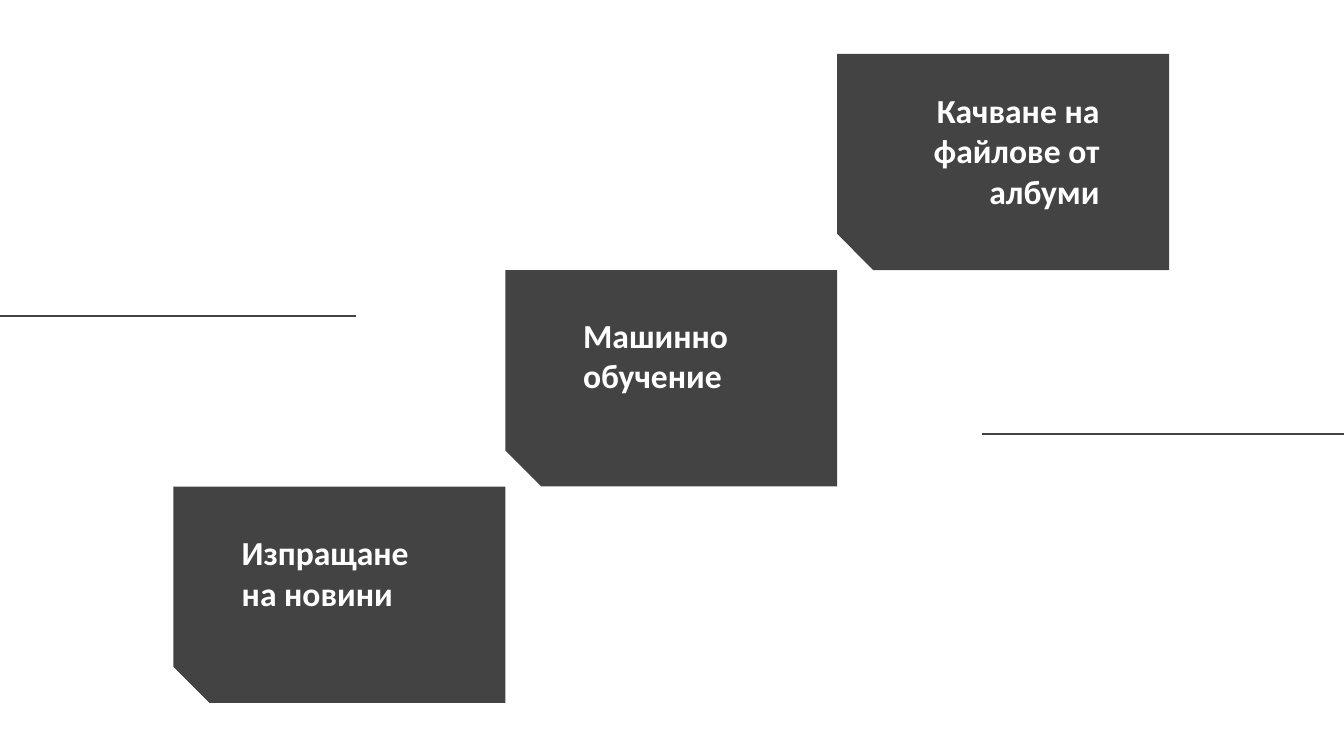
import pptx
import pptx.dml.color
import pptx.enum.shapes
import pptx.enum.text
import pptx.oxml.ns
import pptx.util
from lxml import etree

Inches = pptx.util.Inches
Align = pptx.enum.text.PP_ALIGN
DARK = pptx.dml.color.RGBColor(0x43, 0x43, 0x43)
WHITE = pptx.dml.color.RGBColor(0xFF, 0xFF, 0xFF)

SLIDE_WIDTH = 10
SLIDE_HEIGHT = SLIDE_WIDTH * 9 / 16
CARD_WIDTH, CARD_HEIGHT = 2.47, 1.61
FIRST_CARD = (1.29, 3.62)  # visible left and top of the lowest card

# title, text box (left, top, width, height), alignment; lowest step first
STEPS = [
    ("Изпращане на новини", (1.7, 4.2, 1.65, 0.46), Align.LEFT),
    ("Машинно обучение", (4.24, 2.58, 1.52, 0.46), Align.LEFT),
    ("Качване на файлове от албуми", (6.65, 1.2, 1.63, 0.47), Align.RIGHT),
]
# start x, end x, y
RULES = [(SLIDE_WIDTH, 7.31, 3.23), (2.65, 0, 2.35)]


def add_card(page, left, top):
    """Add a card whose bottom left corner is cut off."""
    # The preset is turned by a quarter, so its width and height swap.
    shift = (CARD_WIDTH - CARD_HEIGHT) / 2
    card = page.shapes.add_shape(
        pptx.enum.shapes.MSO_SHAPE.SNIP_1_RECTANGLE,
        Inches(left + shift), Inches(top - shift),
        Inches(CARD_HEIGHT), Inches(CARD_WIDTH))
    card.adjustments[0] = 0.167
    card.rotation = 270
    card._element.spPr.xfrm.set("flipH", "1")
    card.shadow.inherit = False
    card.fill.solid()
    card.fill.fore_color.rgb = DARK
    card.line.fill.background()


def add_rule(page, start, end, y):
    rule = page.shapes.add_connector(
        pptx.enum.shapes.MSO_CONNECTOR.STRAIGHT,
        Inches(start), Inches(y), Inches(end), Inches(y))
    rule.line.color.rgb = DARK
    rule.line.width = pptx.util.Pt(0.75)
    etree.SubElement(rule._element.spPr, pptx.oxml.ns.qn("a:effectLst"))


def add_text(page, text, bounds, *, align, size=18, color=WHITE, bold=True,
             font="Calibri", margin=0.1):
    box = page.shapes.add_textbox(*map(Inches, bounds))
    frame = box.text_frame
    frame.word_wrap = True
    frame.vertical_anchor = pptx.enum.text.MSO_ANCHOR.BOTTOM
    frame.margin_left = frame.margin_right = Inches(margin)
    frame.margin_top = frame.margin_bottom = Inches(margin)
    para = frame.paragraphs[0]
    para.alignment = align
    span = para.add_run()
    span.text = text
    span.font.name = font
    span.font.size = pptx.util.Pt(size)
    span.font.bold = bold
    span.font.color.rgb = color


def main():
    deck = pptx.Presentation()
    deck.slide_width = Inches(SLIDE_WIDTH)
    deck.slide_height = Inches(SLIDE_HEIGHT)
    page = deck.slides.add_slide(deck.slide_layouts[6])

    for start, end, y in RULES:
        add_rule(page, start, end, y)
    left, top = FIRST_CARD
    for index, (title, bounds, align) in enumerate(STEPS):
        add_card(page, left + index * CARD_WIDTH, top - index * CARD_HEIGHT)
        add_text(page, title, bounds, align=align)

    deck.save("out.pptx")


if __name__ == "__main__":
    main()
